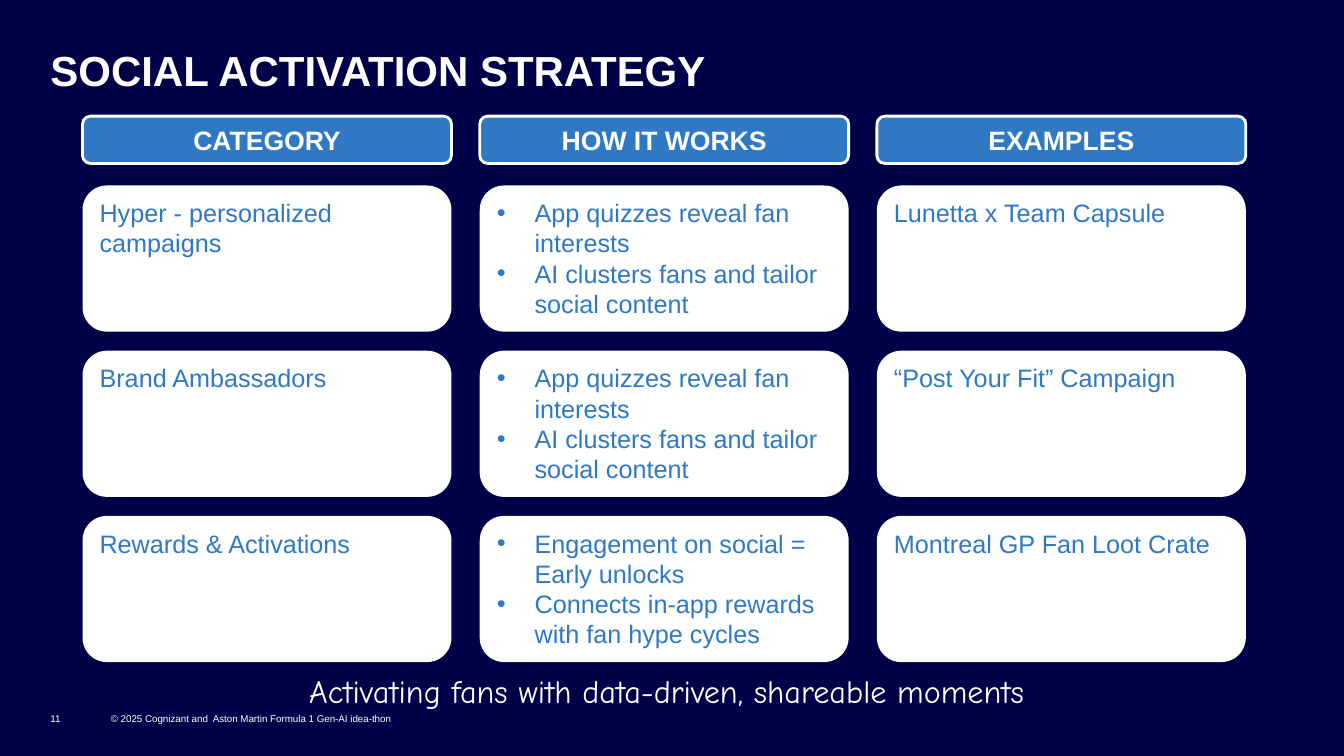
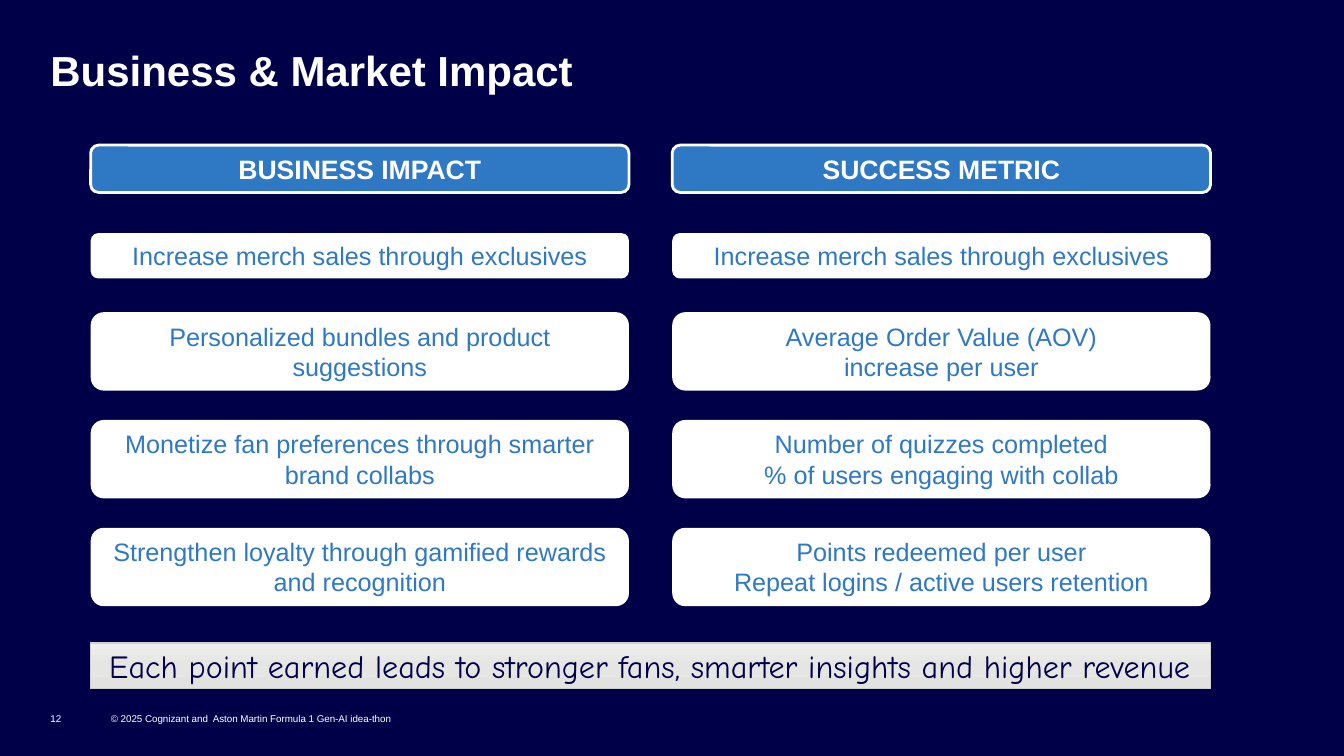
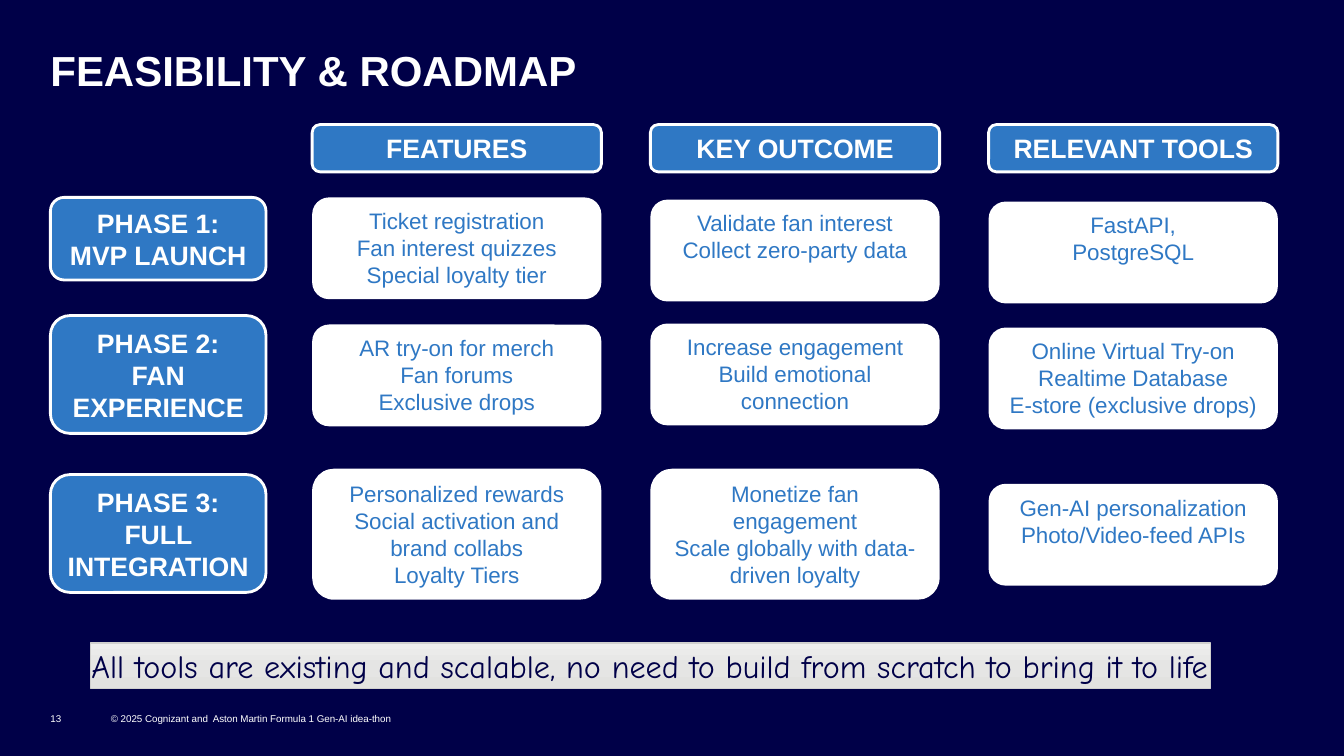
from copy import deepcopy

from lxml import etree
from pptx import Presentation
from pptx.dml.color import RGBColor
from pptx.enum.shapes import MSO_SHAPE
from pptx.enum.text import MSO_ANCHOR, PP_ALIGN
from pptx.oxml.ns import qn
from pptx.util import Pt

NAVY = RGBColor(0x00, 0x00, 0x48)
BLUE = RGBColor(0x2F, 0x78, 0xC4)
WHITE = RGBColor(0xFF, 0xFF, 0xFF)
GREY_LINE = RGBColor(0xD0, 0xD0, 0xCE)
BAND_STOPS = [
    (0, RGBColor(0xEE, 0xEE, 0xED)),
    (0.5, RGBColor(0xE5, 0xE5, 0xE4)),
    (1, RGBColor(0xE2, 0xE2, 0xE0)),
]

RECT, ROUNDED = MSO_SHAPE.RECTANGLE, MSO_SHAPE.ROUNDED_RECTANGLE
LEFT, CENTER = PP_ALIGN.LEFT, PP_ALIGN.CENTER
TOP, MIDDLE = MSO_ANCHOR.TOP, MSO_ANCHOR.MIDDLE

TITLE = {"name": "Arial", "size": Pt(30), "bold": True}
HEADING = {"name": "Arial", "size": Pt(19), "bold": True}
BODY = {"name": "Arial", "size": Pt(18)}
SMALL_BODY = {"name": "Arial", "size": Pt(16)}
FOOTER = {"name": "Arial", "size": Pt(7)}
TAGLINE = {"name": "Comic Neue", "size": Pt(23)}

COPYRIGHT = "© 2025 Cognizant and  Aston Martin Formula 1 Gen-AI idea-thon"
BULLET_INDENT = 27
HEADING_HEIGHT = 33.8


def add_bullet(p):
    pPr = p._p.get_or_add_pPr()
    pPr.set("marL", str(Pt(BULLET_INDENT)))
    pPr.set("indent", str(-Pt(BULLET_INDENT)))
    etree.SubElement(pPr, qn("a:buFont")).set("typeface", "Arial")
    etree.SubElement(pPr, qn("a:buChar")).set("char", "•")


def write(sp, lines, style, color, align=LEFT, anchor=TOP, bullets=False):
    tf = sp.text_frame
    tf.word_wrap = True
    tf.vertical_anchor = anchor
    for i, line in enumerate(lines):
        p = tf.add_paragraph() if i else tf.paragraphs[0]
        p.alignment = align
        if bullets:
            add_bullet(p)
        r = p.add_run()
        r.text = line
        for name, value in style.items():
            setattr(r.font, name, value)
        r.font.color.rgb = color


def clear_margins(sp):
    for side in ("left", "top", "right", "bottom"):
        setattr(sp.text_frame, f"margin_{side}", 0)


def add_label(s, box, text, style, **layout):
    sp = s.shapes.add_textbox(*map(Pt, box))
    clear_margins(sp)
    write(sp, [text], style, WHITE, **layout)
    return sp


def add_box(s, kind, box):
    sp = s.shapes.add_shape(kind, *map(Pt, box))
    sp.shadow.inherit = False
    return sp


def add_heading(s, box, *lines):
    sp = add_box(s, ROUNDED, box)
    sp.fill.solid()
    sp.fill.fore_color.rgb = BLUE
    sp.line.color.rgb = WHITE
    sp.line.width = Pt(2)
    write(sp, lines, HEADING, WHITE, CENTER, MIDDLE)


def add_card(s, box, lines, style=BODY, **layout):
    sp = add_box(s, ROUNDED, box)
    sp.fill.solid()
    sp.fill.fore_color.rgb = WHITE
    sp.line.fill.background()
    write(sp, lines, style, BLUE, **layout)


def add_band(s, text):
    """Grey gradient strip with the closing message."""
    sp = add_box(s, RECT, (64.8, 459.4, 800, 32.4))
    sp.fill.gradient()
    sp.fill.gradient_angle = 270
    first = sp._element.spPr.find(".//" + qn("a:gs"))
    first.addnext(deepcopy(first))
    for stop, (position, color) in zip(sp.fill.gradient_stops, BAND_STOPS):
        stop.position = position
        stop.color.rgb = color
    sp.line.color.rgb = GREY_LINE
    sp.line.width = Pt(1)
    clear_margins(sp)
    write(sp, [text], TAGLINE, NAVY, CENTER, MIDDLE)


def add_slide(prs, title, number):
    s = prs.slides.add_slide(prs.slide_layouts[6])
    s.background.fill.solid()
    s.background.fill.fore_color.rgb = NAVY
    sp = add_label(s, (36, 36, 888, 32.4), title, TITLE)
    sp.text_frame.paragraphs[0].line_spacing = 0.9
    add_label(s, (79.2, 504, 263.5, 18), COPYRIGHT, FOOTER, anchor=MIDDLE)
    add_label(s, (36, 504, 28.8, 18), str(number), FOOTER, anchor=MIDDLE)
    return s


def add_strategy(prs):
    s = add_slide(prs, "SOCIAL ACTIVATION STRATEGY", 11)
    add_label(s, (148.3, 470.2, 656.6, 46), "Activating fans with data-driven, shareable moments",
              TAGLINE, align=CENTER, anchor=MIDDLE)
    width = 263.5
    columns = [59 + 283.7 * i for i in range(3)]
    for x, heading in zip(columns, ("CATEGORY", "HOW IT WORKS", "EXAMPLES")):
        add_heading(s, (x, 83, width, HEADING_HEIGHT), heading)

    quizzes = ["App quizzes reveal fan interests", "AI clusters fans and tailor social content"]
    rewards = ["Engagement on social = Early unlocks", "Connects in-app rewards with fan hype cycles"]
    rows = [
        (["Hyper - personalized campaigns"], quizzes, ["Lunetta x Team Capsule"]),
        (["Brand Ambassadors"], quizzes, ["“Post Your Fit” Campaign"]),
        (["Rewards & Activations"], rewards, ["Montreal GP Fan Loot Crate"]),
    ]
    for i, row in enumerate(rows):
        for x, lines in zip(columns, row):
            add_card(s, (x, 132.5 + 118 * i, width, 104.4), lines, bullets=len(lines) > 1)


def add_impact(prs):
    s = add_slide(prs, "Business & Market Impact", 12)
    add_band(s, "Each point earned leads to stronger fans, smarter insights and higher revenue")
    width = 384.5
    columns = (64.8, 480.2)
    for x, heading in zip(columns, ("BUSINESS IMPACT", "SUCCESS METRIC")):
        add_heading(s, (x, 103.7, width, HEADING_HEIGHT), heading)

    merch = ["Increase merch sales through exclusives"]
    rows = [
        (166.5, 32.4, merch, merch),
        (223, 56, ["Personalized bundles and product suggestions"],
         ["Average Order Value (AOV)", "increase per user"]),
        (300, 56, ["Monetize fan preferences through smarter brand collabs"],
         ["Number of quizzes completed", "% of users engaging with collab"]),
        (377, 56, ["Strengthen loyalty through gamified rewards and recognition"],
         ["Points redeemed per user", "Repeat logins / active users retention"]),
    ]
    for top, height, *cells in rows:
        for x, lines in zip(columns, cells):
            add_card(s, (x, top, width, height), lines, align=CENTER)


def add_roadmap(prs):
    s = add_slide(prs, "FEASIBILITY & ROADMAP", 13)
    add_band(s, "All tools are existing and scalable, no need to build from scratch to bring it to life")
    width = 206.6
    columns = [223 + 241.6 * i for i in range(3)]
    for x, heading in zip(columns, ("FEATURES", "KEY OUTCOME", "RELEVANT TOOLS")):
        add_heading(s, (x, 89, width, HEADING_HEIGHT), heading)

    phases = [
        (141, 59, "PHASE 1:", "MVP LAUNCH"),
        (225.4, 84.2, "PHASE 2:", "FAN EXPERIENCE"),
        (339, 84.2, "PHASE 3:", "FULL INTEGRATION"),
    ]
    for top, height, *lines in phases:
        add_heading(s, (36, top, 154, height), *lines)

    short, tall = 72.7, 93.6
    cards = [
        [(141, short, ["Ticket registration", "Fan interest quizzes", "Special loyalty tier"]),
         (231.8, short, ["AR try-on for merch", "Fan forums", "Exclusive drops"]),
         (334.8, tall, ["Personalized rewards", "Social activation and brand collabs", "Loyalty Tiers"])],
        [(142.6, short, ["Validate fan interest", "Collect zero-party data"]),
         (231.1, short, ["Increase engagement", "Build emotional connection"]),
         (334.8, tall, ["Monetize fan engagement", "Scale globally with data-driven loyalty"])],
        [(144, short, ["FastAPI,", "PostgreSQL"]),
         (234, short, ["Online Virtual Try-on", "Realtime Database", "E-store (exclusive drops)"]),
         (345.6, short, ["Gen-AI personalization", "Photo/Video-feed APIs"])],
    ]
    for x, column in zip(columns, cards):
        for top, height, lines in column:
            add_card(s, (x, top, width, height), lines, SMALL_BODY, align=CENTER)


def main():
    prs = Presentation()
    prs.slide_width, prs.slide_height = Pt(960), Pt(540)
    add_strategy(prs)
    add_impact(prs)
    add_roadmap(prs)
    prs.save("out.pptx")


if __name__ == "__main__":
    main()
